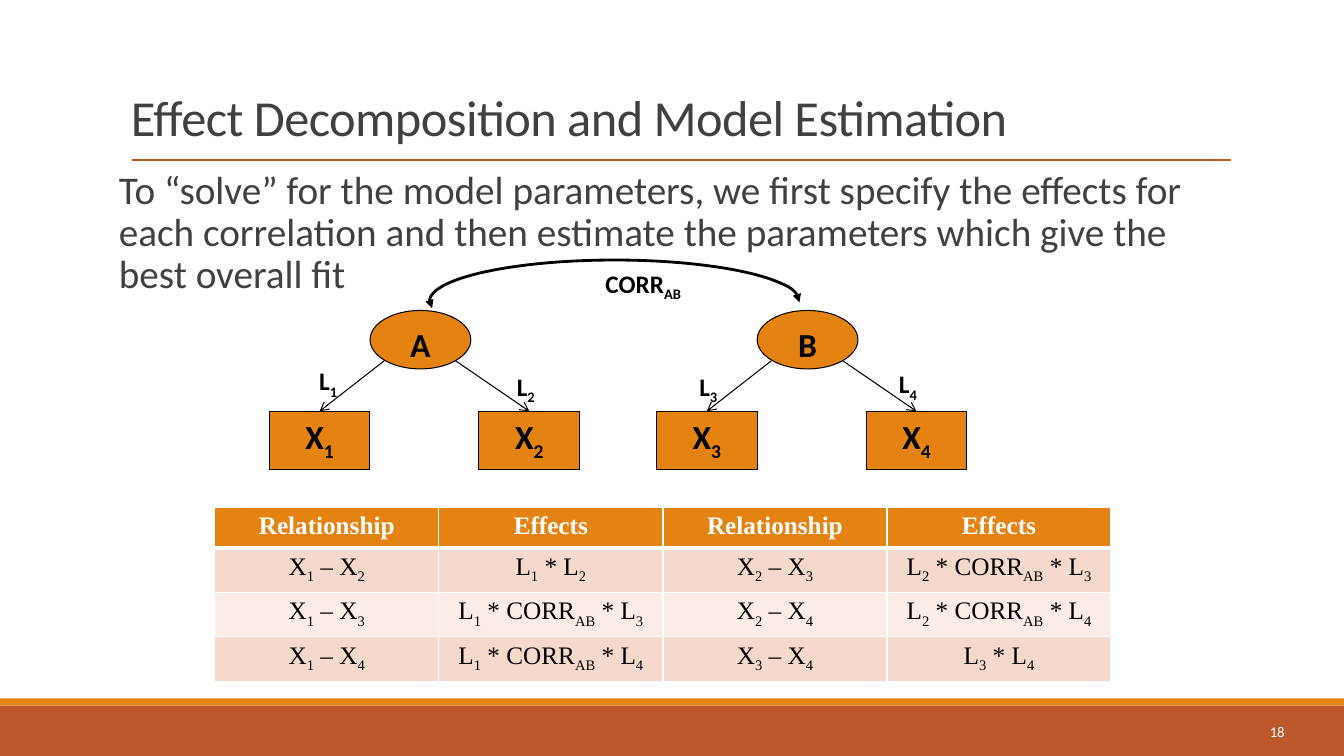
"""Build the slide on effect decomposition and model estimation."""
from itertools import combinations

from lxml import etree
from pptx import Presentation
from pptx.dml.color import RGBColor
from pptx.enum.shapes import MSO_CONNECTOR, MSO_SHAPE
from pptx.enum.text import MSO_ANCHOR, PP_ALIGN
from pptx.oxml.ns import qn
from pptx.util import Inches, Pt

LEFT, CENTER, RIGHT = PP_ALIGN.LEFT, PP_ALIGN.CENTER, PP_ALIGN.RIGHT
TOP, MIDDLE, BOTTOM = MSO_ANCHOR.TOP, MSO_ANCHOR.MIDDLE, MSO_ANCHOR.BOTTOM
RECTANGLE, OVAL, ARC = MSO_SHAPE.RECTANGLE, MSO_SHAPE.OVAL, MSO_SHAPE.ARC
STRAIGHT = MSO_CONNECTOR.STRAIGHT

BLACK = RGBColor(0x00, 0x00, 0x00)
WHITE = RGBColor(0xFF, 0xFF, 0xFF)
GRAY = RGBColor(0x40, 0x40, 0x40)
ORANGE = RGBColor(0xE4, 0x83, 0x12)
RUST = RGBColor(0xBD, 0x58, 0x2C)
BAND_DARK = RGBColor(0xF5, 0xD9, 0xCC)
BAND_LIGHT = RGBColor(0xFA, 0xED, 0xE7)

SANS, SERIF = "Calibri", "Times New Roman"
NODE_WIDTH, NODE_HEIGHT = 1, 0.58


def add_runs(paragraph, text, size, color, bold=False, font=SANS, align=CENTER, spacing=None):
    """Write text whose every second part between bars is a subscript."""
    paragraph.alignment = align
    for index, part in enumerate(text.split("|")):
        if not part:
            continue
        run = paragraph.add_run()
        run.text = part
        run.font.name, run.font.size, run.font.bold = font, Pt(size), bold
        run.font.color.rgb = color
        properties = run._r.get_or_add_rPr()
        if index % 2:
            properties.set("baseline", "-25000")
        if spacing is not None:
            properties.set("spc", str(spacing))


def add_text(slide, box, text, size, color, anchor=TOP, wrap=True, **style):
    """Add a text box and return it."""
    shape = slide.shapes.add_textbox(*map(Inches, box))
    frame = shape.text_frame
    frame.word_wrap, frame.vertical_anchor = wrap, anchor
    add_runs(frame.paragraphs[0], text, size, color, **style)
    return shape


def add_box(slide, kind, box, fill, outline=None):
    """Add a flat preset shape with an optional thin outline."""
    shape = slide.shapes.add_shape(kind, *map(Inches, box))
    shape.shadow.inherit = False
    shape.fill.solid()
    shape.fill.fore_color.rgb = fill
    if outline is None:
        shape.line.fill.background()
    else:
        shape.line.color.rgb, shape.line.width = outline, Pt(0.75)
    return shape


def add_arrowheads(line, **ends):
    """Put arrowheads on the named ends of a line."""
    for end, kind in ends.items():
        etree.SubElement(line._get_or_add_ln(), qn(f"a:{end}"), type=kind)


def add_line(slide, start, end, color, width):
    """Add a straight connector without shadow."""
    line = slide.shapes.add_connector(STRAIGHT, *map(Inches, (*start, *end)))
    line.line.color.rgb, line.line.width = color, Pt(width)
    etree.SubElement(line._element.spPr, qn("a:effectLst"))
    return line


def draw_footer(slide, box, number):
    """Draw the two footer bands and the page number."""
    left, top, width, height = box
    stripe = 0.07
    add_box(slide, RECTANGLE, (left, top + stripe, width, height - stripe), RUST)
    add_box(slide, RECTANGLE, (left, top, width, stripe), ORANGE)
    add_text(slide, (left + 11.41, top + 0.13, 1.43, 0.4), number, 10.5, WHITE,
             anchor=MIDDLE, align=RIGHT)


def draw_heading(slide, box):
    """Draw the title, its rule and the introduction."""
    left, top, width, height = box
    title = add_text(slide, (left, top, width, height),
                     "Effect Decomposition and Model Estimation", 36, GRAY,
                     anchor=BOTTOM, align=LEFT, spacing=-40)
    title.text_frame.paragraphs[0].line_spacing = 0.85
    rule = top + height + 0.08
    add_line(slide, (left + 0.11, rule), (left + 11.01, rule), RUST, 1.5)
    body = add_text(slide, (left - 0.02, rule + 0.05, width, 5.06),
                    "To “solve” for the model parameters, we first specify the effects for each "
                    "correlation and then estimate the parameters which give the best overall fit",
                    28, GRAY, align=LEFT)
    body.text_frame.margin_left = body.text_frame.margin_right = 0
    body.text_frame.paragraphs[0].line_spacing = 0.9


def draw_node(slide, kind, left, top, text):
    """Draw one labelled variable of the path diagram."""
    shape = add_box(slide, kind, (left, top, NODE_WIDTH, NODE_HEIGHT), ORANGE, BLACK)
    shape.text_frame.vertical_anchor = TOP
    add_runs(shape.text_frame.paragraphs[0], text, 24, BLACK, bold=True)


def draw_factor(slide, left, top, name, first_item, label_offsets):
    """Draw a factor with arrows to its two items and their loadings."""
    item_top = top + 1
    draw_node(slide, OVAL, left + 1, top, name)
    branches = zip((0, 2.08), (1.14, 1.85), label_offsets)
    for item, (offset, tip, (label_x, label_y)) in enumerate(branches, first_item):
        draw_node(slide, RECTANGLE, left + offset, item_top, f"X|{item}")
        arrow = add_line(slide, (left + tip, top + 0.5),
                         (left + offset + NODE_WIDTH / 2, item_top), BLACK, 0.75)
        add_arrowheads(arrow.line, tailEnd="arrow")
        add_text(slide, (left + label_x, top + label_y, 0.39, 0.4), f"L|{item}", 18, BLACK,
                 wrap=False, bold=True)


def draw_diagram(slide, left, top):
    """Draw both factors and the correlation arc between them."""
    factor_top = top + 0.5
    draw_factor(slide, left, factor_top, "A", 1, ((0.39, 0.5), (2.35, 0.55)))
    draw_factor(slide, left + 3.84, factor_top, "B", 3, ((0.32, 0.55), (2.3, 0.53)))
    arc = slide.shapes.add_shape(ARC, *map(Inches, (left + 1.59, top, 3.67, 0.82)))
    arc.adjustments[0], arc.adjustments[1] = 106.69, 0.2
    arc.shadow.inherit = False
    arc.fill.background()
    arc.line.color.rgb, arc.line.width = BLACK, Pt(2)
    add_arrowheads(arc.line, headEnd="triangle", tailEnd="triangle")
    add_text(slide, (left + 3.22, top + 0.03, 0.98, 0.4), "CORR|AB", 18, BLACK,
             wrap=False, bold=True)


def effect_rows():
    """List the table texts, with three item pairs in each half."""
    cells = []
    for first, second in combinations(range(1, 5), 2):
        across = first <= 2 < second
        link = " * CORR|AB| * L" if across else " * L"
        cells.append((f"X|{first}| – X|{second}", f"L|{first}|{link}|{second}"))
    header = ("Relationship", "Effects")
    return [header * 2] + [cells[row] + cells[row + 3] for row in range(3)]


def style_cell(cell, fill, top_width, bottom_width):
    """Give a cell white borders and a solid fill."""
    properties = cell._tc.get_or_add_tcPr()
    for side, width in zip("LRTB", (1, 1, top_width, bottom_width)):
        border = etree.SubElement(properties, qn(f"a:ln{side}"), w=str(Pt(width)))
        solid = etree.SubElement(border, qn("a:solidFill"))
        etree.SubElement(solid, qn("a:srgbClr"), val=str(WHITE))
    cell.fill.solid()
    cell.fill.fore_color.rgb = fill


def draw_effects_table(slide, box):
    """Draw the table of item pairs and their effects."""
    rows = effect_rows()
    table = slide.shapes.add_table(len(rows), len(rows[0]), *map(Inches, box)).table
    for row, texts in enumerate(rows):
        header = row == 0
        fill = ORANGE if header else BAND_DARK if row % 2 else BAND_LIGHT
        for column, text in enumerate(texts):
            cell = table.cell(row, column)
            style_cell(cell, fill, 3 if row == 1 else 1, 3 if header else 1)
            add_runs(cell.text_frame.paragraphs[0], text, 18, WHITE if header else BLACK,
                     bold=header, font=SERIF)


def main():
    """Build and save the presentation."""
    presentation = Presentation()
    presentation.slide_width, presentation.slide_height = Inches(13.33), Inches(7.5)
    slide = presentation.slides.add_slide(presentation.slide_layouts[6])
    draw_footer(slide, (0, 6.93, 13.33, 0.57), "18")
    draw_heading(slide, (1.2, 0.31, 11, 1.2))
    draw_diagram(slide, 2.67, 2.58)
    draw_effects_table(slide, (2.13, 5.03, 8.89, 1.62))
    presentation.save("out.pptx")


if __name__ == "__main__":
    main()
